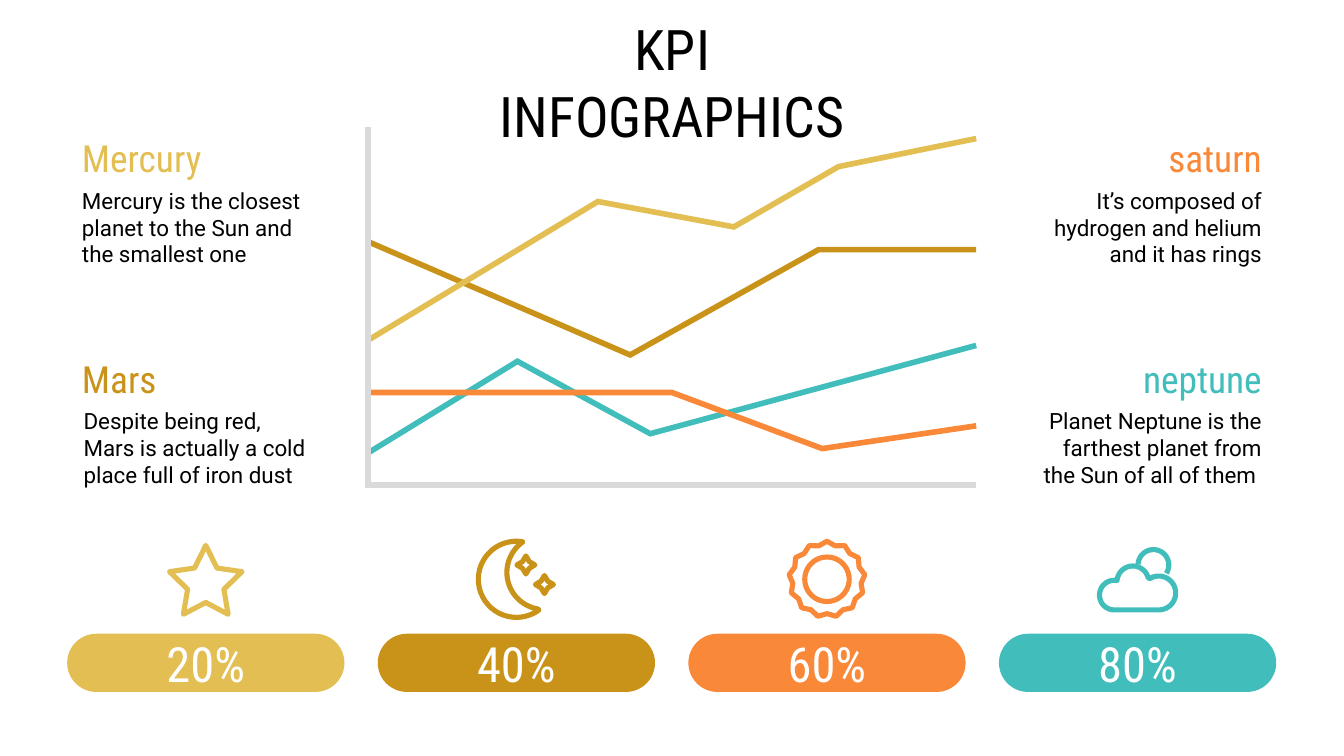
from dataclasses import dataclass
from math import cos, radians, sin

from pptx import Presentation
from pptx.dml.color import RGBColor
from pptx.enum.shapes import MSO_SHAPE as Shape
from pptx.enum.text import MSO_ANCHOR as Anchor, MSO_AUTO_SIZE as AutoSize, PP_ALIGN as Align
from pptx.oxml.ns import qn
from pptx.util import Cm, Pt
from lxml.etree import SubElement

Point = tuple[float, float]


@dataclass(frozen=True)
class Theme:
    gold: str = "E2BE53"
    ochre: str = "C99319"
    orange: str = "FA8839"
    teal: str = "41BDBB"
    axis: str = "DADADA"
    ink: str = "000000"
    paper: str = "FFFFFF"
    heading_font: str = "Roboto Condensed"
    body_font: str = "Roboto"
    title_size: float = 30
    pill_size: float = 26
    heading_size: float = 20
    body_size: float = 12
    chart_line: float = 3
    icon_line: float = 2.75


@dataclass(frozen=True)
class Planet:
    name: str
    fact: str
    color: str
    row: int
    on_right: bool
    fact_shift: float = 0


@dataclass(frozen=True)
class Series:
    color: str
    points: list[Point]


@dataclass(frozen=True)
class Stroke:
    points: list[Point]
    closed: bool = True


@dataclass(frozen=True)
class Pill:
    label: str
    color: str
    icon: list[Stroke]
    ring_radius: float = 0


THEME = Theme()


# Geometry, in centimetres
def arc(x: float, y: float, radius: float, start: float, end: float) -> list[Point]:
    steps = 32
    angles = [radians(start + (end - start) * i / steps) for i in range(steps + 1)]
    return [(x + radius * cos(a), y + radius * sin(a)) for a in angles]


def star(x: float, y: float, tips: int, outer: float, inner: float) -> Stroke:
    points = []
    for i in range(2 * tips):
        angle, radius = radians(180 * i / tips - 90), inner if i % 2 else outer
        points.append((x + radius * cos(angle), y + radius * sin(angle)))
    return Stroke(points)


# Drawing helpers
def write(box, text: str, font: str, size: float, color: str, align: Align) -> None:
    frame = box.text_frame
    frame_format = {"word_wrap": True, "auto_size": AutoSize.NONE,
                    "vertical_anchor": Anchor.MIDDLE}
    frame_format |= {f"margin_{side}": Cm(0.25) for side in ("left", "right", "top", "bottom")}
    for name, value in frame_format.items():
        setattr(frame, name, value)
    frame.text = text
    para = frame.paragraphs[0]
    para.alignment = align
    for span in para.runs:
        for name, value in {"name": font, "size": Pt(size), "bold": False}.items():
            setattr(span.font, name, value)
        span.font.color.rgb = RGBColor.from_string(color)


def outline(shape, color: str, width: float, join: str) -> None:
    shape.shadow.inherit = False
    shape.fill.background()
    shape.line.color.rgb = RGBColor.from_string(color)
    shape.line.width = Pt(width)
    SubElement(shape.line._get_or_add_ln(), qn(f"a:{join}"))


def draw_path(page, points: list[Point], closed: bool, color: str, width: float,
              join: str) -> None:
    first, *rest = [(Cm(x), Cm(y)) for x, y in points]
    builder = page.shapes.build_freeform(*first, scale=1.0)
    builder.add_line_segments(rest, close=closed)
    outline(builder.convert_to_shape(), color, width, join)


def draw_pill(page, pill: Pill, left: float) -> None:
    width, middle_y = 5.24, 10.95
    middle_x = left + width / 2
    box = page.shapes.add_shape(Shape.ROUNDED_RECTANGLE, Cm(left), Cm(11.98), Cm(width), Cm(1.1))
    box.adjustments[0] = 0.5
    box.shadow.inherit = False
    box.fill.solid()
    box.fill.fore_color.rgb = RGBColor.from_string(pill.color)
    box.line.fill.background()
    write(box, pill.label, THEME.heading_font, THEME.pill_size, THEME.paper, Align.CENTER)
    for stroke in pill.icon:
        points = [(middle_x + x, middle_y + y) for x, y in stroke.points]
        draw_path(page, points, stroke.closed, pill.color, THEME.icon_line, "round")
    if pill.ring_radius:
        radius = pill.ring_radius
        ring = page.shapes.add_shape(Shape.OVAL, Cm(middle_x - radius), Cm(middle_y - radius),
                                     Cm(2 * radius), Cm(2 * radius))
        outline(ring, pill.color, THEME.icon_line, "round")


def draw_planet(page, planet: Planet) -> None:
    top = 2.41 + 4.17 * planet.row
    align = Align.RIGHT if planet.on_right else Align.LEFT
    parts = [
        (planet.name, 0, 0, 3.3, 1.14, THEME.heading_font, THEME.heading_size, planet.color),
        (planet.fact, planet.fact_shift, 1.15, 4.93, 1.47,
         THEME.body_font, THEME.body_size, THEME.ink),
    ]
    for text, shift, drop, width, height, font, size, color in parts:
        left = 24.1 - width if planet.on_right else 1.3 + shift
        box = page.shapes.add_textbox(Cm(left), Cm(top + drop), Cm(width), Cm(height))
        write(box, text, font, size, color, align)


# Content
LEFT, RIGHT, BASE = 6.96, 18.45, 9.17
CHART = [
    Series(THEME.teal, [(LEFT, 8.56), (9.78, 6.83), (12.29, 8.2), (RIGHT, 6.53)]),
    Series(THEME.orange, [(LEFT, 7.42), (12.7, 7.42), (15.54, 8.48), (RIGHT, 8.05)]),
    Series(THEME.ochre, [(LEFT, 4.57), (11.91, 6.71), (15.47, 4.72), (RIGHT, 4.72)]),
    Series(THEME.gold, [(LEFT, 6.43), (11.3, 3.81), (13.87, 4.29), (15.85, 3.15), (RIGHT, 2.62)]),
    Series(THEME.axis, [(LEFT, 2.41), (LEFT, BASE), (RIGHT, BASE)]),
]
MOON = Stroke(arc(0, 0, 0.72, 54, 279.5) + arc(0.52, -0.13, 0.7, 234, 99.5))
SPARKLES = [star(x, y, 4, 0.17, 0.09) for x, y in ((0.18, -0.27), (0.53, 0.1))]
CLOUD = Stroke(arc(-0.44, 0.3, 0.28, 90, 275) + arc(-0.09, 0.05, 0.3, 185, 345)
               + arc(0.4, 0.26, 0.32, 238, 450))
CLOUD_SUN = Stroke(arc(0.3, -0.27, 0.29, 182, 393), closed=False)
PILLS = [
    Pill("20%", THEME.gold, [star(0, 0.08, 5, 0.72, 0.36)]),
    Pill("40%", THEME.ochre, [*SPARKLES, MOON]),
    Pill("60%", THEME.orange, [star(0, 0, 13, 0.72, 0.65)], ring_radius=0.42),
    Pill("80%", THEME.teal, [CLOUD_SUN, CLOUD]),
]
PLANETS = [
    Planet("saturn", "It’s composed of hydrogen and helium and it has rings",
           THEME.orange, 0, True),
    Planet("Mercury", "Mercury is the closest planet to the Sun and the smallest one",
           THEME.gold, 0, False),
    Planet("neptune", "Planet Neptune is the farthest planet from the Sun of all of them ",
           THEME.teal, 1, True),
    Planet("Mars", "Despite being red,\vMars is actually a cold place full of iron dust",
           THEME.ochre, 1, False, fact_shift=0.03),
]


def main() -> None:
    deck = Presentation()
    deck.slide_width, deck.slide_height = Cm(25.4), Cm(14.29)
    page = deck.slides.add_slide(deck.slide_layouts[5])

    # Title
    title = page.shapes.title
    place = {"left": 8.64, "top": 1.02, "width": 8.13, "height": 1.04}
    for name, value in place.items():
        setattr(title, name, Cm(value))
    write(title, "KPI INFOGRAPHICS", THEME.heading_font, THEME.title_size, THEME.ink, Align.CENTER)

    # Percentages with icons
    for index, pill in enumerate(PILLS):
        draw_pill(page, pill, 1.27 + 5.87 * index)

    # Trend lines and axes
    for series in CHART:
        draw_path(page, series.points, False, series.color, THEME.chart_line, "miter")

    # Planet notes
    for planet in PLANETS:
        draw_planet(page, planet)

    deck.save("out.pptx")


if __name__ == "__main__":
    main()
